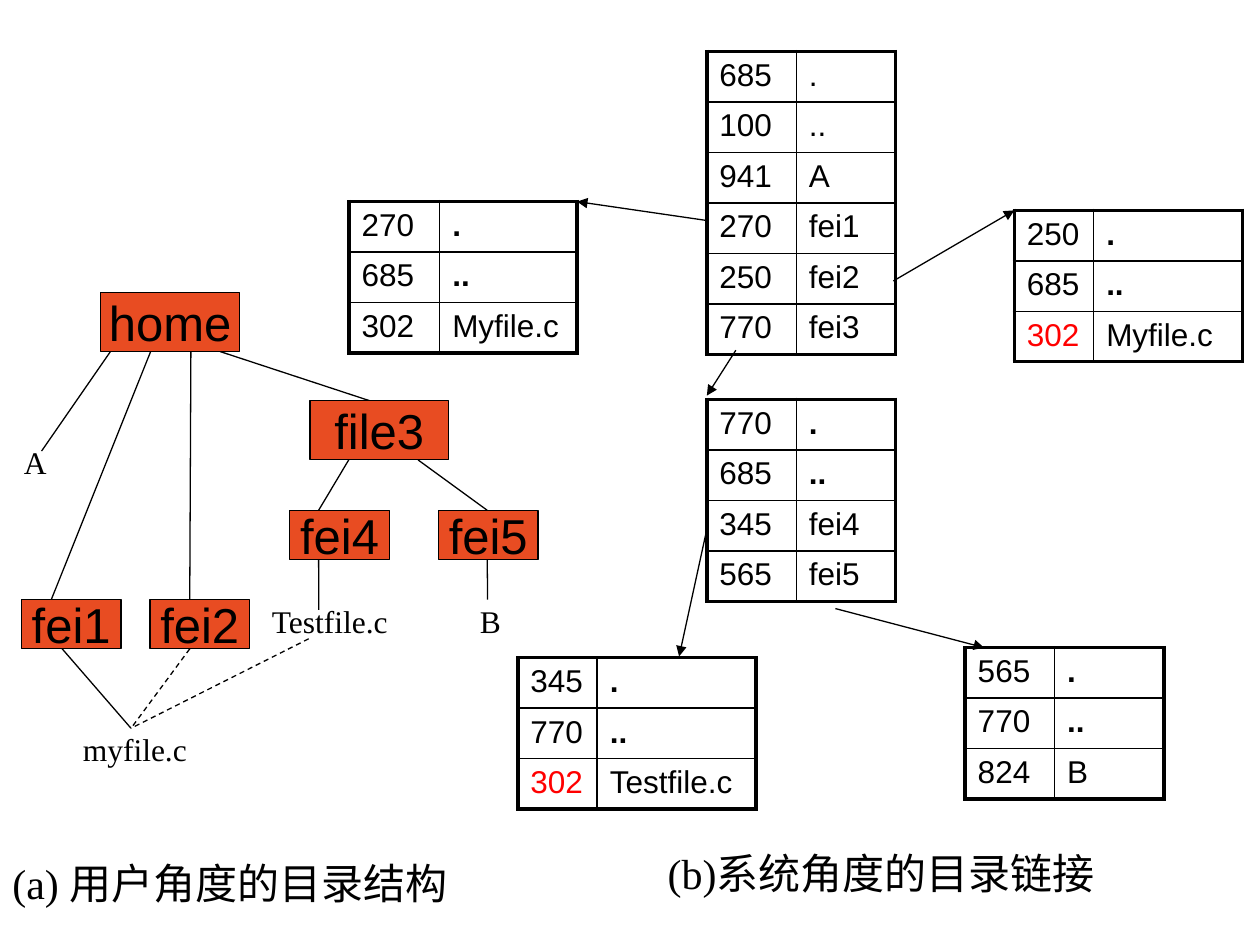
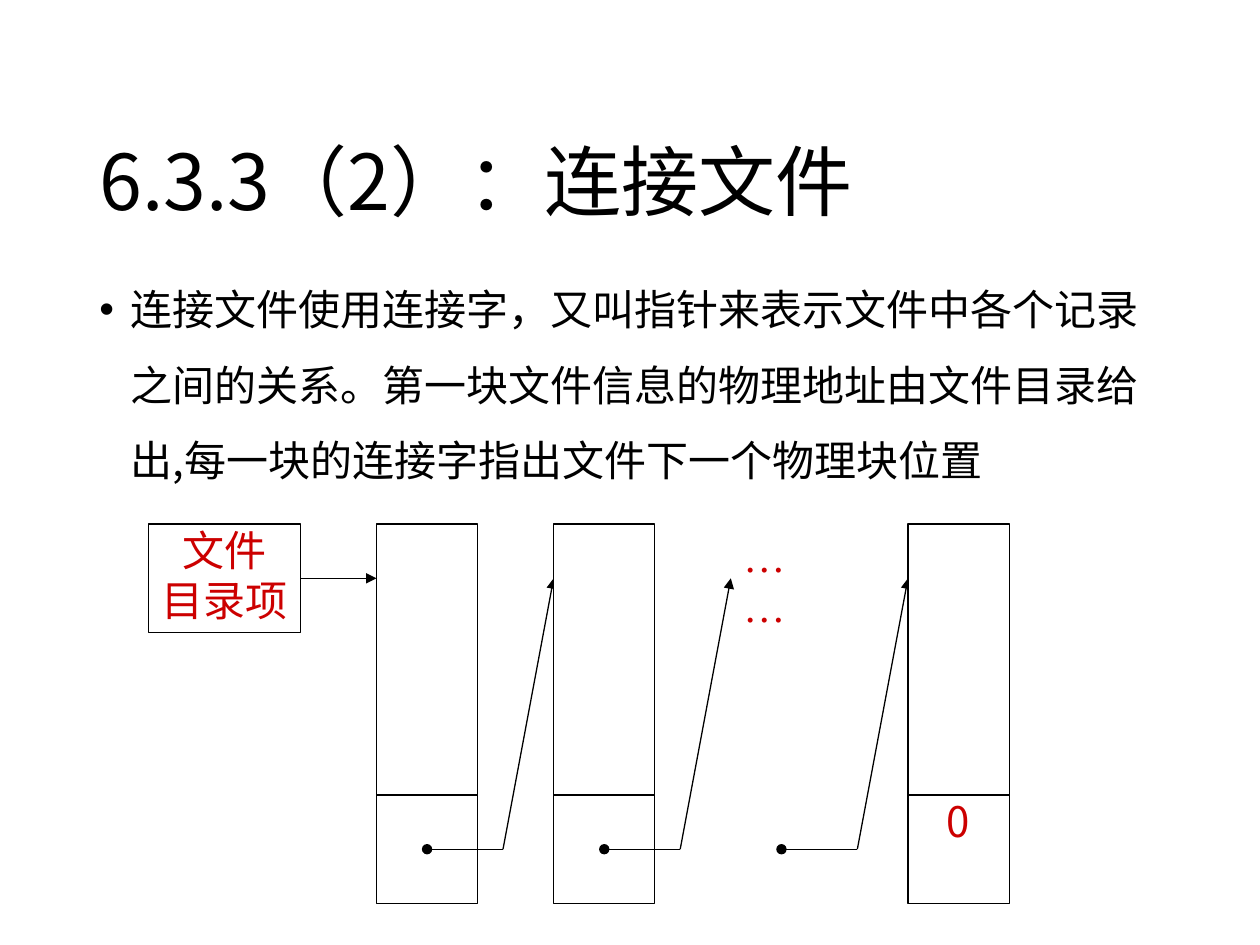
import pptx
import pptx.dml.color
import pptx.enum.dml
import pptx.enum.shapes
import pptx.enum.text
import pptx.oxml.ns
import pptx.util
from dataclasses import dataclass
from lxml import etree

ANCHOR = pptx.enum.text.MSO_ANCHOR
ALIGN = pptx.enum.text.PP_ALIGN
Inches = pptx.util.Inches


@dataclass(frozen=True)
class Theme:
    ink: str = "000000"
    paper: str = "FFFFFF"
    node: str = "E84C22"
    shared: str = "FF0000"
    mark: str = "CC0000"
    sans: str = "Arial"
    serif: str = "Times New Roman"
    chinese: str = "Noto Sans CJK SC"
    title: int = 44
    node_size: int = 28
    body: int = 24
    label: int = 18
    thin: float = 0.75
    inner: float = 1
    outer: float = 2.25


THEME = Theme()
SLIDE = (10, 7.5)

# Slide 1: the directory tree, then the directory tables (inches).
BIG, SMALL = (1.1, 0.47), (0.79, 0.39)
NODES = {
    "home": (0.8, 2.32, *BIG),
    "file3": (2.46, 3.18, *BIG),
    "fei1": (0.17, 4.76, *SMALL),
    "fei2": (1.19, 4.76, *SMALL),
    "fei4": (2.3, 4.05, *SMALL),
    "fei5": (3.48, 4.05, *SMALL),
}
LEAVES = {
    "A": (0.09, 3.5, 0.31, 0.37),
    "B": (3.71, 4.76, 0.31, 0.37),
    "Testfile.c": (2.06, 4.76, 1.26, 0.37),
    "myfile.c": (0.56, 5.78, 1.5, 0.37),
}
MYFILE_TOP = (1.04, 5.78)
# An end is a point, or a node with the share of its width.
TREE_LINKS = [
    (("home", 0.07), (0.33, 3.58), False),
    (("home", 0.36), ("fei1", 0.3), False),
    (("home", 0.65), ("fei2", 0.4), False),
    (("home", 0.86), ("file3", 0.43), False),
    (("file3", 0.28), ("fei4", 0.29), False),
    (("file3", 0.78), ("fei5", 0.49), False),
    (("fei4", 0.29), (2.53, 4.84), False),
    (("fei5", 0.49), (3.87, 4.76), False),
    (("fei1", 0.41), MYFILE_TOP, False),
    (("fei2", 0.4), MYFILE_TOP, True),
    ((2.45, 5.07), MYFILE_TOP, True),
]
CAPTIONS = {
    "(a) 用户角度的目录结构": (0, 6.8, 3.86, 0.46),
    "(b)系统角度的目录链接": (5.2, 6.72, 3.66, 0.46),
}
ROW_HEIGHT = 0.4
# Left, top, column widths, rows, whether the dots are bold.
DIRECTORIES = [
    (5.61, 0.41, (0.71, 0.79), [("685", "."), ("100", ".."), ("941", "A"),
                                ("270", "fei1"), ("250", "fei2"), ("770", "fei3")], False),
    (2.77, 1.6, (0.72, 1.09), [("270", "."), ("685", ".."), ("302", "Myfile.c")], True),
    (8.05, 1.67, (0.63, 1.18), [("250", "."), ("685", ".."), ("302", "Myfile.c")], True),
    (5.61, 3.17, (0.71, 0.79), [("770", "."), ("685", ".."),
                                ("345", "fei4"), ("565", "fei5")], True),
    (4.11, 5.22, (0.63, 1.26), [("345", "."), ("770", ".."), ("302", "Testfile.c")], True),
    (7.66, 5.14, (0.71, 0.87), [("565", "."), ("770", ".."), ("824", "B")], True),
]
# The linked copies of file 302: table index and row.
SHARED_CELLS = {(2, 2), (4, 2)}
TABLE_ARROWS = [
    ((5.61, 1.75), (4.58, 1.6)),
    ((7.09, 2.23), (8.05, 1.67)),
    ((5.84, 2.78), (5.61, 3.14)),
    ((6.63, 4.83), (7.81, 5.14)),
    ((5.61, 4.2), (5.39, 5.21)),
]

# Slide 2: text, then a chain of blocks on a grid of columns and rows.
TITLE = "6.3.3（2）：连接文件"
BODY = ("连接文件使用连接字，又叫指针来表示文件中各个记录之间的关系。"
        "第一块文件信息的物理地址由文件目录给出,每一块的连接字指出文件下一个物理块位置")
CHAIN_LEFT, CHAIN_TOP, CHAIN_COLUMN, CHAIN_ROW = 1.18, 4.16, 0.2, 0.43
CHAIN_COLUMN = (8.01 - CHAIN_LEFT) / 34
ENTRY = "文件\n目录项"
BLOCKS = ["", "", None, "0"]  # text of each link word; None is the gap
GAP_TEXT = "……"
FIRST_BLOCK, BLOCK_STEP, BLOCK_WIDTH = 9, 7, 4


def color(value):
    return pptx.dml.color.RGBColor.from_string(value)


def add_xml(parent, tag, **attributes):
    return etree.SubElement(parent, pptx.oxml.ns.qn(tag), attributes)


def format_text(frame, size, face, ink=THEME.ink, align=None, spacing=None, bold=False):
    for para in frame.paragraphs:
        para.alignment = align
        para.line_spacing = spacing
        for span in para.runs:
            span.font.size = pptx.util.Pt(size)
            span.font.bold = bold
            span.font.color.rgb = color(ink)
            span.font.name = face
            add_xml(span.font._element, "a:ea", typeface=THEME.chinese)


def add_label(page, place, text, size, face, anchor=ANCHOR.TOP, **style):
    box = page.shapes.add_textbox(*map(Inches, place))
    frame = box.text_frame
    frame.word_wrap = True
    frame.vertical_anchor = anchor
    frame.text = text
    format_text(frame, size, face, **style)
    return box


def add_box(page, place, fill, text=""):
    box = page.shapes.add_shape(pptx.enum.shapes.MSO_SHAPE.RECTANGLE, *map(Inches, place))
    box.shadow.inherit = False
    box.fill.solid()
    box.fill.fore_color.rgb = color(fill)
    box.line.color.rgb = color(THEME.ink)
    box.line.width = pptx.util.Pt(THEME.thin)
    box.text_frame.text = text
    return box


def add_line(page, start, end, dashed=False, head=None, tail=None):
    line = page.shapes.add_connector(pptx.enum.shapes.MSO_CONNECTOR.STRAIGHT,
                                     *map(Inches, (*start, *end)))
    line.line.color.rgb = color(THEME.ink)
    line.line.width = pptx.util.Pt(THEME.thin)
    if dashed:
        line.line.dash_style = pptx.enum.dml.MSO_LINE.DASH
    outline = line.line._get_or_add_ln()
    if head:
        add_xml(outline, "a:headEnd", type=head)
    if tail:
        add_xml(outline, "a:tailEnd", type=tail)
    add_xml(line._element.spPr, "a:effectLst")


def add_borders(cell, outer_sides):
    """Draw heavy lines on the sides at the table's edge and light ones elsewhere."""
    properties = cell._tc.get_or_add_tcPr()
    for side in "LRTB":
        width = THEME.outer if side in outer_sides else THEME.inner
        border = add_xml(properties, f"a:ln{side}", w=str(pptx.util.Pt(width)))
        add_xml(add_xml(border, "a:solidFill"), "a:srgbClr", val=THEME.ink)


def add_directory(page, number, left, top, widths, rows, bold_dots):
    table = page.shapes.add_table(len(rows), 2, *map(Inches, (
        left, top, sum(widths), ROW_HEIGHT * len(rows)))).table
    table.first_row = table.horz_banding = False
    for column, width in zip(table.columns, widths):
        column.width = Inches(width)
    for r, row in enumerate(rows):
        table.rows[r].height = Inches(ROW_HEIGHT)
        for c, text in enumerate(row):
            cell = table.cell(r, c)
            cell.text_frame.text = text
            shared = c == 0 and (number, r) in SHARED_CELLS
            format_text(cell.text_frame, THEME.label, THEME.sans,
                        THEME.shared if shared else THEME.ink,
                        bold=bold_dots and text in (".", ".."))
            outer = "LR"[c] + "T" * (r == 0) + "B" * (r == len(rows) - 1)
            add_borders(cell, outer)
            cell.fill.background()


def tree_point(end, bottom):
    if end[0] not in NODES:
        return end
    left, top, width, height = NODES[end[0]]
    return left + end[1] * width, top + height * bottom


def build_directories(page):
    for start, end, dashed in TREE_LINKS:
        add_line(page, tree_point(start, True), tree_point(end, False), dashed)
    for name, place in NODES.items():
        frame = add_box(page, place, THEME.node, name).text_frame
        frame.word_wrap = False
        frame.vertical_anchor = ANCHOR.MIDDLE
        format_text(frame, THEME.node_size, THEME.sans, align=ALIGN.CENTER)
    for labels, size in ((LEAVES, THEME.label), (CAPTIONS, THEME.body)):
        for text, place in labels.items():
            add_label(page, place, text, size, THEME.serif, spacing=0.9)
    for number, directory in enumerate(DIRECTORIES):
        add_directory(page, number, *directory)
    for start, end in TABLE_ARROWS:
        add_line(page, start, end, tail="triangle")


def chain_point(column, row):
    return CHAIN_LEFT + column * CHAIN_COLUMN, CHAIN_TOP + row * CHAIN_ROW


def add_chain_box(page, column, row, columns, rows, text=""):
    place = (*chain_point(column, row), columns * CHAIN_COLUMN, rows * CHAIN_ROW)
    frame = add_box(page, place, THEME.paper, text).text_frame
    frame.margin_left = frame.margin_right = frame.margin_top = frame.margin_bottom = 0
    frame.vertical_anchor = ANCHOR.TOP
    format_text(frame, THEME.body, THEME.chinese, THEME.mark, ALIGN.CENTER)


def build_linked_file(page):
    add_label(page, (0.69, 0.4, 8.62, 1.45), TITLE, THEME.title, THEME.chinese,
              ANCHOR.BOTTOM, spacing=0.9)
    body = add_label(page, (0.69, 2, 8.62, 2.01), BODY, THEME.body, THEME.chinese, spacing=1.5)
    properties = body.text_frame.paragraphs[0]._p.get_or_add_pPr()
    properties.set("marL", str(Inches(0.25)))
    properties.set("indent", str(Inches(-0.25)))
    add_xml(properties, "a:buFont", typeface=THEME.sans)
    add_xml(properties, "a:buChar", char="•")

    add_chain_box(page, 0, 0, 6, 2, ENTRY)
    add_line(page, chain_point(6, 1), chain_point(FIRST_BLOCK, 1), tail="triangle")
    for number, word in enumerate(BLOCKS):
        column = FIRST_BLOCK + number * BLOCK_STEP
        if word is None:
            place = (*chain_point(column, 0), BLOCK_WIDTH * CHAIN_COLUMN, 5 * CHAIN_ROW)
            add_label(page, place, GAP_TEXT, THEME.body, THEME.serif,
                      ink=THEME.mark, align=ALIGN.JUSTIFY)
        else:
            add_chain_box(page, column, 0, BLOCK_WIDTH, 5)
            add_chain_box(page, column, 5, BLOCK_WIDTH, 2, word)
        if number < len(BLOCKS) - 1:
            bend = chain_point(column + 5, 6)
            add_line(page, chain_point(column + 2, 6), bend, head="oval")
            add_line(page, bend, chain_point(column + BLOCK_STEP, 1), tail="triangle")


def main():
    deck = pptx.Presentation()
    deck.slide_width, deck.slide_height = map(Inches, SLIDE)
    for build in (build_directories, build_linked_file):
        build(deck.slides.add_slide(deck.slide_layouts[6]))
    deck.save("out.pptx")


if __name__ == "__main__":
    main()
